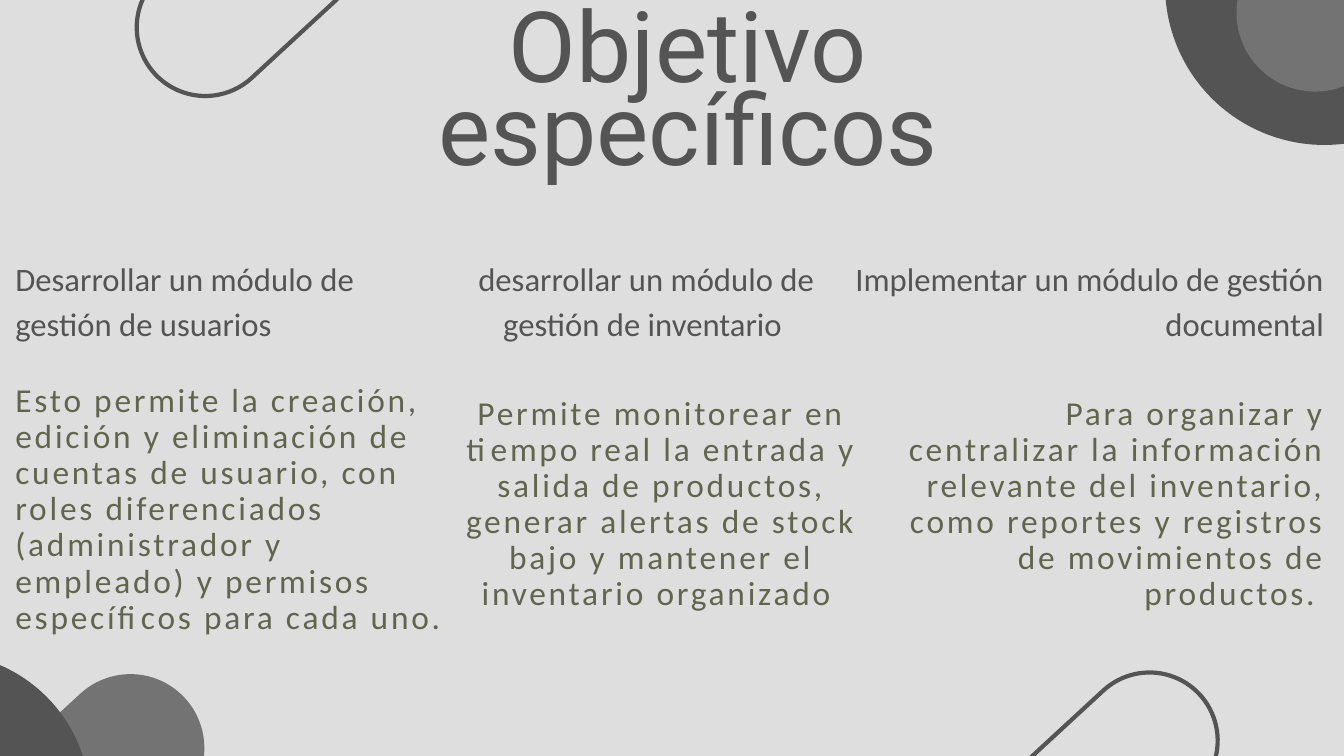
from pptx import Presentation
from pptx.dml.color import RGBColor
from pptx.enum.shapes import MSO_SHAPE
from pptx.enum.text import MSO_AUTO_SIZE, PP_ALIGN
from pptx.util import Pt


def color(value):
    return RGBColor.from_string(value)


def add_text(page, text, left, top, width, height, align, style):
    box = page.shapes.add_textbox(Pt(left), Pt(top), Pt(width), Pt(height))
    frame = box.text_frame
    frame_format = {
        "margin_left": 0, "margin_right": 0, "margin_top": 0, "margin_bottom": 0,
        "word_wrap": True, "auto_size": MSO_AUTO_SIZE.SHAPE_TO_FIT_TEXT,
    }
    for name, value in frame_format.items():
        setattr(frame, name, value)
    para = frame.paragraphs[0]
    para.alignment = align
    para.line_spacing = Pt(style["leading"])
    span = para.add_run()
    span.text = text
    for name, value in style["font"].items():
        setattr(span.font, name, value)
    span.font.color.rgb = color(style["color"])
    if style["tracking"]:
        span.font._element.set("spc", str(style["tracking"] * 100))


DARK = "545454"
GRAY = "737373"
OLIVE = "61654D"

title_style = {"font": {"name": "Roboto", "size": Pt(105.5)},
               "color": DARK, "leading": 89.7, "tracking": 0}
heading_style = {"font": {"name": "Calibri", "size": Pt(35)},
                 "color": DARK, "leading": 49, "tracking": 0}
body_style = {"font": {"name": "Calibri", "size": Pt(35.8)},
              "color": OLIVE, "leading": 38.7, "tracking": 3}

deck = Presentation()
deck.slide_width = Pt(1440)
deck.slide_height = Pt(810)
page = deck.slides.add_slide(deck.slide_layouts[6])
page.background.fill.solid()
page.background.fill.fore_color.rgb = color("DEDEDE")

pills = [
    (-77, 776, 317, GRAY),
    (-501, 808, 640, DARK),
    (1203, -302, 683, DARK),
    (1302.5, -127.5, 337, GRAY),
    (1032, 770, 292, None),
    (127, -94, 294, None),
]
for left, top, width, fill in pills:
    pill = page.shapes.add_shape(
        MSO_SHAPE.ROUNDED_RECTANGLE, Pt(left), Pt(top), Pt(width), Pt(width / 2))
    pill.adjustments[0] = 0.5
    pill.rotation = 317.3
    pill.shadow.inherit = False
    if fill:
        pill.fill.solid()
        pill.fill.fore_color.rgb = color(fill)
        pill.line.fill.background()
    else:
        pill.fill.background()
        pill.line.color.rgb = color(DARK)
        pill.line.width = Pt(4.5)

add_text(page, "Objetivo específicos", 322, 19.5, 830, 188.5, PP_ALIGN.CENTER, title_style)

columns = [
    (PP_ALIGN.LEFT,
     "Desarrollar un módulo de gestión de usuarios", 16.5, 410.5,
     "Esto permite la creación, edición y eliminación de cuentas de usuario, con roles "
     "diferenciados (administrador y empleado) y permisos específicos para cada uno.",
     16.5, 410.5, 465, 313),
    (PP_ALIGN.CENTER,
     "desarrollar un módulo de gestión de inventario ", 476.5, 432,
     "Permite monitorear en tiempo real la entrada y salida de productos, generar "
     "alertas de stock bajo y mantener el inventario organizado ",
     481.5, 424, 454.5, 237),
    (PP_ALIGN.RIGHT,
     "Implementar un módulo de gestión documental", 908.5, 510,
     "Para organizar y centralizar la información relevante del inventario, como "
     "reportes y registros de movimientos de productos. ",
     957, 424, 463, 237),
]
for align, heading, left, width, body, body_left, body_top, body_width, body_height in columns:
    add_text(page, heading, left, 270, width, 101.5, align, heading_style)
    add_text(page, body, body_left, body_top, body_width, body_height, align, body_style)

deck.save("out.pptx")
